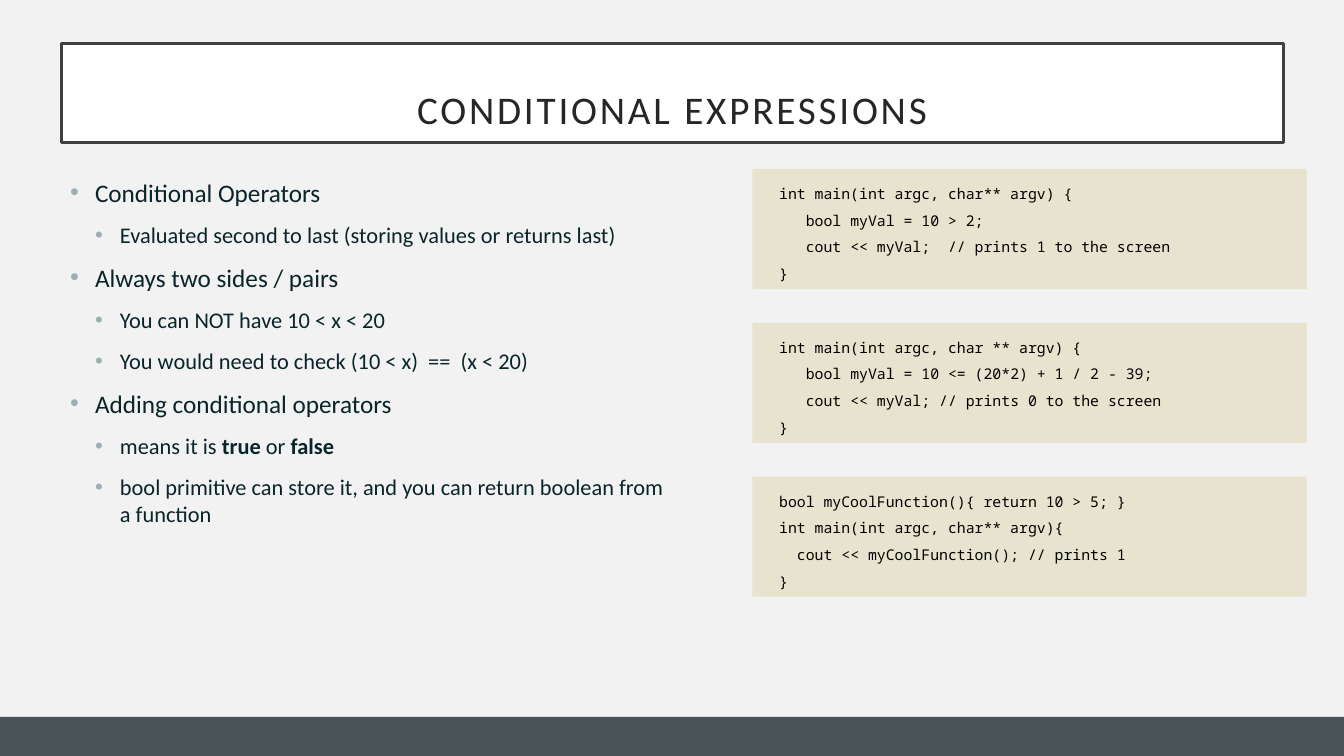
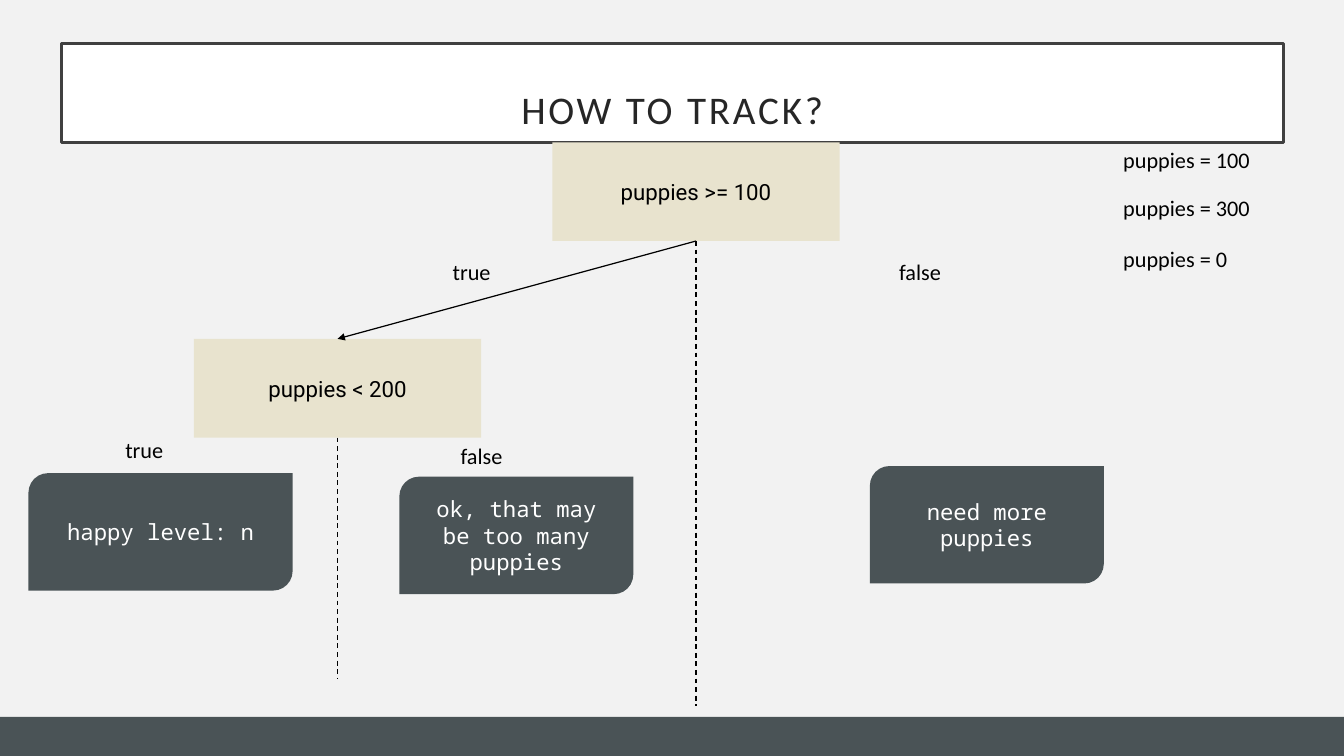
from dataclasses import dataclass

from lxml import etree
from pptx import Presentation
from pptx.dml.color import RGBColor
from pptx.enum.dml import MSO_LINE
from pptx.enum.shapes import MSO_CONNECTOR, MSO_SHAPE
from pptx.enum.text import MSO_ANCHOR, PP_ALIGN
from pptx.oxml.ns import qn
from pptx.util import Inches, Pt

RECT, LEAF = MSO_SHAPE.RECTANGLE, MSO_SHAPE.ROUND_2_DIAG_RECTANGLE
STRAIGHT, DASH = MSO_CONNECTOR.STRAIGHT, MSO_LINE.DASH
LEFT, CENTER = PP_ALIGN.LEFT, PP_ALIGN.CENTER
TOP, MIDDLE, BOTTOM = MSO_ANCHOR.TOP, MSO_ANCHOR.MIDDLE, MSO_ANCHOR.BOTTOM
SITE_TOP, SITE_BOTTOM = 0, 2


@dataclass(frozen=True)
class Theme:
    # Colours
    back: str = "F2F2F2"
    dark: str = "4A5356"
    sand: str = "E8E3CE"
    white: str = "FFFFFF"
    black: str = "000000"
    frame: str = "404040"
    title: str = "262626"
    body: str = "092529"
    bullet: str = "9BAFB5"
    # Fonts
    sans: str = "Calibri"
    mono: str = "Noto Sans Mono"
    node: str = "Roboto"
    # Type sizes in points
    head: float = 31.7
    levels: tuple = (20.4, 18.1)
    label: float = 18
    code: float = 12


T = Theme()
WIDTH, HEIGHT = 15.11, 8.5
PAD = (0.3, 0.2)

POINTS = [
    (0, "Conditional Operators"),
    (1, "Evaluated second to last (storing values or returns last)"),
    (0, "Always two sides / pairs"),
    (1, "You can NOT have 10 < x < 20"),
    (1, "You would need to check (10 < x)  ==  (x < 20)"),
    (0, "Adding conditional operators"),
    (1, "means it is *true* or *false*"),
    (1, "bool primitive can store it, and you can return boolean from a function"),
]

# Each code line: indent in characters, text
CODES = [
    [(0, "int main(int argc, char** argv) {"),
     (3, "bool myVal = 10 > 2;"),
     (3, "cout << myVal;  // prints 1 to the screen"),
     (0, "}")],
    [(0, "int main(int argc, char ** argv) {"),
     (3, "bool myVal = 10 <= (20*2) + 1 / 2 - 39;"),
     (3, "cout << myVal; // prints 0 to the screen"),
     (0, "}")],
    [(0, "bool myCoolFunction(){ return 10 > 5; }"),
     (0, "int main(int argc, char** argv){"),
     (2, "cout << myCoolFunction(); // prints 1"),
     (0, "}")],
]

LEAVES = [
    (4.49, 5.36, 2.63, "ok, that may be too many puppies"),
    (0.32, 5.32, 2.97, "happy level: n"),
    (9.78, 5.24, 2.63, "need more puppies"),
]

LABELS = [
    (4.99, 2.86, 0.89, "true"),
    (10.01, 2.86, 0.87, "false"),
    (12.53, 1.6, 2.04, "puppies = 100"),
    (12.53, 2.14, 2.16, "puppies = 300"),
    (12.53, 2.71, 1.74, "puppies = 0"),
    (1.31, 4.86, 0.89, "true"),
    (5.08, 4.92, 0.87, "false"),
]


def rgb(color):
    return RGBColor.from_string(color)


def inches(*values):
    return [Inches(v) for v in values]


def style(par, face, size, color, align=LEFT):
    par.font.name, par.font.size = face, Pt(size)
    par.font.color.rgb = rgb(color)
    par.alignment = align


def setup(frame, anchor, pad=(0.1, 0.05)):
    frame.word_wrap = True
    frame.vertical_anchor = anchor
    frame.margin_left = frame.margin_right = Inches(pad[0])
    frame.margin_top = frame.margin_bottom = Inches(pad[1])
    return frame


def pars(frame, count):
    """Yield the first paragraph, then new ones up to count."""
    yield frame.paragraphs[0]
    for _ in range(count - 1):
        yield frame.add_paragraph()


def panel(slide, box, fill, kind=RECT):
    shape = slide.shapes.add_shape(kind, *inches(*box))
    shape.shadow.inherit = False
    shape.fill.solid()
    shape.fill.fore_color.rgb = rgb(fill)
    shape.line.fill.background()
    return shape


def node(slide, box, text, fill, face, color, kind=RECT):
    shape = panel(slide, box, fill, kind)
    par = setup(shape.text_frame, MIDDLE, PAD).paragraphs[0]
    par.text = text
    style(par, face, T.label, color, CENTER)
    return shape


def label(slide, box, text):
    area = slide.shapes.add_textbox(*inches(*box))
    par = setup(area.text_frame, TOP).paragraphs[0]
    par.text = text
    style(par, T.sans, T.label, T.black)


def link(slide, start, drop=0, end=None):
    """Draw an arrow to a node, or a dashed line straight down."""
    mid, low = start.left + start.width // 2, start.top + start.height
    line = slide.shapes.add_connector(
        STRAIGHT, mid, low, mid, low + Inches(drop))
    line.begin_connect(start, SITE_BOTTOM)
    line.line.color.rgb = rgb(T.black)
    line.line.width = Pt(1)
    if end is None:
        line.line.dash_style = DASH
    else:
        line.end_connect(end, SITE_TOP)
        etree.SubElement(line.line._get_or_add_ln(), qn("a:tailEnd"),
                         type="triangle")
    etree.SubElement(line._element.spPr, qn("a:effectLst"))


def base(deck, title):
    """Add a slide with background, bottom band and framed title."""
    slide = deck.slides.add_slide(deck.slide_layouts[6])
    slide.background.fill.solid()
    slide.background.fill.fore_color.rgb = rgb(T.back)
    panel(slide, (0, 8.06, WIDTH, HEIGHT - 8.06), T.dark)
    banner = panel(slide, (0.69, 0.49, 13.74, 1.11), T.white)
    banner.line.color.rgb = rgb(T.frame)
    banner.line.width = Pt(2.5)
    par = setup(banner.text_frame, BOTTOM, (0.1, 0.1)).paragraphs[0]
    run = par.add_run()
    run.text = title
    run.font._element.set("spc", "230")
    style(par, T.sans, T.head, T.title, CENTER)
    par.line_spacing = 0.9
    return slide


def bullets(slide, box, points):
    area = slide.shapes.add_textbox(*inches(*box))
    frame = setup(area.text_frame, TOP)
    for par, (level, text) in zip(pars(frame, len(points)), points):
        # Asterisks enclose bold words
        for i, part in enumerate(text.split("*")):
            if part:
                run = par.add_run()
                run.text = part
                if i % 2:
                    run.font.bold = True
        style(par, T.sans, T.levels[level], T.body)
        par.level = level
        par.space_before = Pt(11.3)
        # Bullet and hanging indent
        props = par._p.get_or_add_pPr()
        step = Inches(0.28)
        props.set("marL", str(step * (level + 1)))
        props.set("indent", str(-step))
        tint = etree.SubElement(props, qn("a:buClr"))
        etree.SubElement(tint, qn("a:srgbClr"), val=T.bullet)
        etree.SubElement(props, qn("a:buFont"), typeface="Arial")
        etree.SubElement(props, qn("a:buChar"), char="•")
        # Default run properties close the list
        props.append(props.find(qn("a:defRPr")))


def listing(slide, box, lines):
    frame = setup(panel(slide, box, T.sand).text_frame, MIDDLE, PAD)
    for par, (indent, text) in zip(pars(frame, len(lines)), lines):
        par.text = text
        style(par, T.mono, T.code, T.black)
        par.line_spacing = 1.5
        # One mono character is 0.1 inch wide at this size
        par._p.get_or_add_pPr().set("marL", str(Inches(0.1 * indent)))


def rules(deck):
    slide = base(deck, "CONDITIONAL EXPRESSIONS")
    bullets(slide, (0.69, 1.94, 6.87, 4.04), POINTS)
    for i, lines in enumerate(CODES):
        listing(slide, (8.46, 1.9 + 1.73 * i, 6.23, 1.35), lines)


def tree(deck):
    slide = base(deck, "HOW TO TRACK?")
    # Decisions
    root, test = [
        node(slide, (x, y, 3.23, 1.11), text, T.sand, T.node, T.black)
        for x, y, text in [(6.21, 1.6, "puppies >= 100"),
                           (2.18, 3.81, "puppies < 200")]]
    # Branches
    link(slide, root, end=test)
    link(slide, root, 5.23)
    link(slide, test, 2.72)
    # Outcomes
    for x, y, width, text in LEAVES:
        node(slide, (x, y, width, 1.32), text, T.dark, T.mono, T.white, LEAF)
    # Branch names and sample values
    for x, y, width, text in LABELS:
        label(slide, (x, y, width, 0.44), text)


def main():
    deck = Presentation()
    deck.slide_width, deck.slide_height = inches(WIDTH, HEIGHT)
    rules(deck)
    tree(deck)
    deck.save("out.pptx")


if __name__ == "__main__":
    main()
